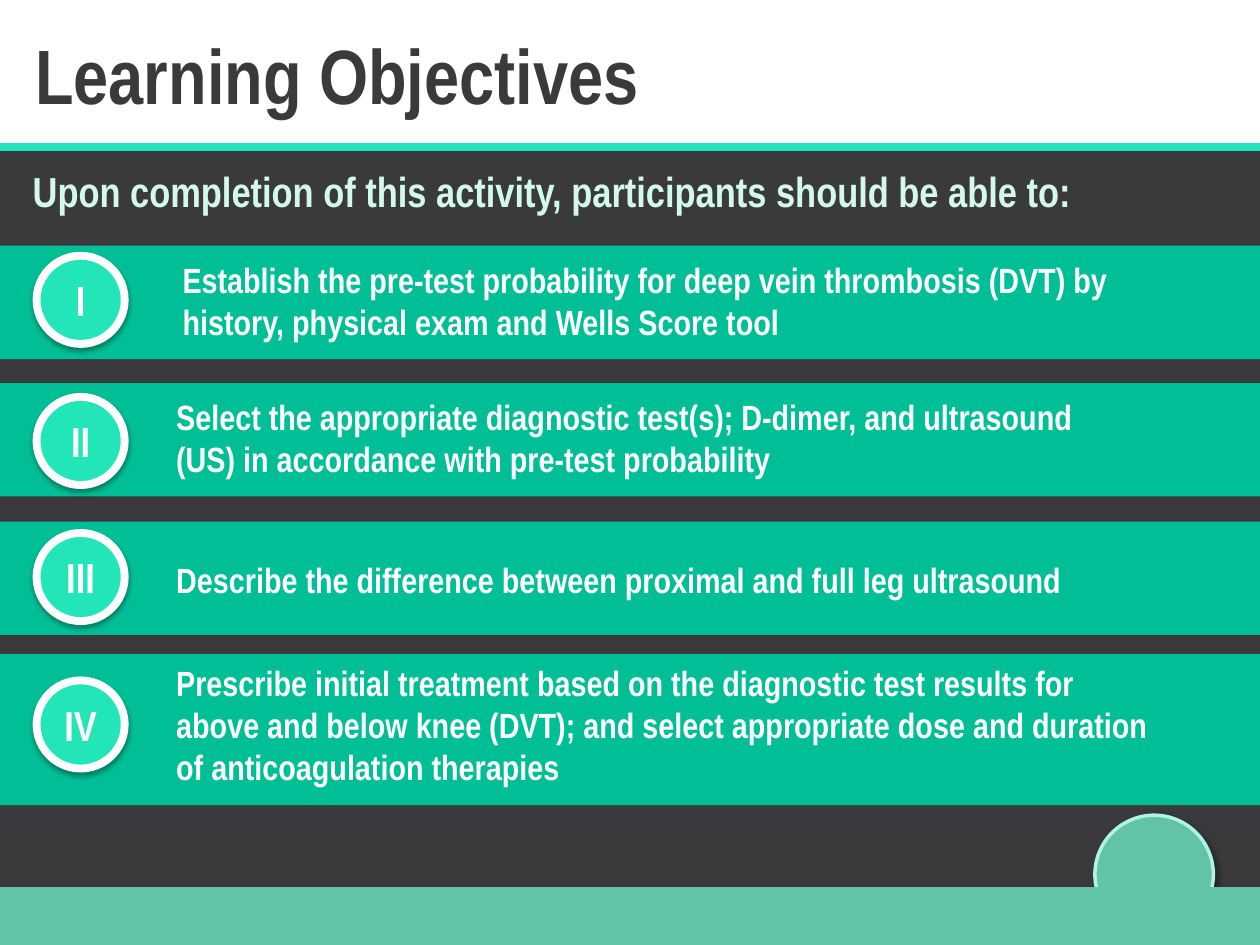
from lxml.etree import SubElement
from pptx import Presentation
from pptx.dml.color import RGBColor
from pptx.enum.shapes import MSO_CONNECTOR, MSO_SHAPE
from pptx.enum.text import MSO_ANCHOR, MSO_AUTO_SIZE, PP_ALIGN
from pptx.oxml.ns import qn
from pptx.util import Inches, Pt

DARK = RGBColor(0x3A, 0x3A, 0x3C)
GREEN = RGBColor(0x00, 0xBF, 0x96)
BRIGHT = RGBColor(0x22, 0xE6, 0xB7)
SAGE = RGBColor(0x62, 0xC3, 0xA8)
PALE = RGBColor(0xAE, 0xF4, 0xE2)
MINT = RGBColor(0xD3, 0xF9, 0xEF)
WHITE = RGBColor(0xFF, 0xFF, 0xFF)

WIDTH, HEIGHT = 10, 7.5
BADGE = 0.7
TITLE = "Learning Objectives"
INTRO = "Upon completion of this activity, participants should be able to:"
# Numeral, band (top, height), badge top, text box (left, top, width, height), text
OBJECTIVES = [
    ("I", (1.95, 0.9), 2.03, (1.35, 2, 7.91, 0.77),
     "Establish the pre-test probability for deep vein thrombosis (DVT) by "
     "history, physical exam and Wells Score tool"),
    ("II", (3.04, 0.9), 3.15, (1.3, 3.09, 7.65, 0.77),
     "Select the appropriate diagnostic test(s); D-dimer, and ultrasound (US) "
     "in accordance with pre-test probability"),
    ("III", (4.14, 0.9), 4.23, (1.3, 4.38, 7.91, 0.44),
     "Describe the difference between proximal and full leg ultrasound"),
    ("IV", (5.19, 1.2), 5.4, (1.3, 5.2, 7.91, 1.45),
     "Prescribe initial treatment based on the diagnostic test results for above "
     "and below knee (DVT); and select appropriate dose and duration of "
     "anticoagulation therapies"),
]


def place(sp, box):
    for name, value in zip(("left", "top", "width", "height"), box):
        setattr(sp, name, Inches(value))


def write(sp, text, size, color, align=PP_ALIGN.LEFT, anchor=MSO_ANCHOR.TOP):
    tf = sp.text_frame
    frame = {"word_wrap": True, "auto_size": MSO_AUTO_SIZE.NONE,
             "vertical_anchor": anchor}
    for name, value in frame.items():
        setattr(tf, name, value)
    p = tf.paragraphs[0]
    p.alignment = align
    p.space_before = Pt(0)
    r = p.add_run()
    r.text = text
    r.font.color.rgb = color
    for name, value in {"name": "Arial Narrow", "size": Pt(size), "bold": True}.items():
        setattr(r.font, name, value)


def add_shape(s, kind, box, fill, line=None, line_width=0):
    sp = s.shapes.add_shape(kind, *map(Inches, box))
    sp.shadow.inherit = False
    sp.fill.solid()
    sp.fill.fore_color.rgb = fill
    if line is None:
        sp.line.fill.background()
    else:
        sp.line.color.rgb = line
        sp.line.width = Pt(line_width)
    return sp


def add_shadow(sp, alpha, blur, dist, angle):
    effects = sp.element.spPr.find(qn("a:effectLst"))
    shadow = SubElement(effects, qn("a:outerShdw"), blurRad=str(Pt(blur)),
                        dist=str(Pt(dist)), dir=str(angle * 60000), rotWithShape="0")
    color = SubElement(shadow, qn("a:srgbClr"), val="000000")
    SubElement(color, qn("a:alpha"), val=str(alpha * 1000))


def add_header(s, box):
    left, top, width, height = box
    title, body = s.shapes.title, s.placeholders[1]

    # Dark panel goes behind the placeholders
    panel = add_shape(s, MSO_SHAPE.RECTANGLE, (left, top + height, width, 5.87), DARK)
    title.element.addprevious(panel.element)

    # Title and rule
    place(title, (left + 0.18, top + 0.17, 8.82, 0.84))
    write(title, TITLE, 44, DARK)
    y = Inches(top + height)
    rule = s.shapes.add_connector(MSO_CONNECTOR.STRAIGHT, Inches(left), y,
                                  Inches(left + width), y)
    rule.line.color.rgb = BRIGHT
    rule.line.width = Pt(4.5)
    SubElement(rule.element.spPr, qn("a:effectLst"))

    # Introductory sentence, without a bullet
    place(body, (left + 0.16, top + height + 0.09, 9.49, 0.6))
    pPr = body.text_frame.paragraphs[0]._p.get_or_add_pPr()
    pPr.set("marL", "0")
    pPr.set("indent", "0")
    SubElement(pPr, qn("a:buNone"))
    write(body, INTRO, 24, MINT)


def add_footer(s, box):
    left, top, width, height = box
    # Circle partly hidden by the footer strip
    circle = add_shape(s, MSO_SHAPE.FLOWCHART_CONNECTOR,
                       (left + 8.69, top - 0.57, 0.94, 0.94), SAGE, PALE, 2)
    add_shadow(circle, 40, 4, 3, 45)
    add_shape(s, MSO_SHAPE.RECTANGLE, box, SAGE)


def add_objective(s, box, numeral, badge_top, text_box, text):
    # Band
    add_shape(s, MSO_SHAPE.RECTANGLE, box, GREEN)

    # Numbered badge
    badge = add_shape(s, MSO_SHAPE.FLOWCHART_CONNECTOR,
                      (box[0] + 0.29, badge_top, BADGE, BADGE), BRIGHT, WHITE, 4.5)
    add_shadow(badge, 35, 3.1, 1.8, 90)
    for side in ("left", "right"):
        setattr(badge.text_frame, f"margin_{side}", 0)
    write(badge, numeral, 24, WHITE, PP_ALIGN.CENTER, MSO_ANCHOR.MIDDLE)

    # Objective text
    write(s.shapes.add_textbox(*map(Inches, text_box)), text, 20, WHITE)


def main():
    prs = Presentation()
    prs.slide_width, prs.slide_height = Inches(WIDTH), Inches(HEIGHT)
    s = prs.slides.add_slide(prs.slide_layouts[1])
    add_header(s, (0, 0, WIDTH, 1.17))
    add_footer(s, (0, 7.04, WIDTH, 0.46))
    for numeral, (top, height), badge_top, text_box, text in OBJECTIVES:
        add_objective(s, (0, top, WIDTH, height), numeral, badge_top, text_box, text)
    prs.save("out.pptx")


if __name__ == "__main__":
    main()
